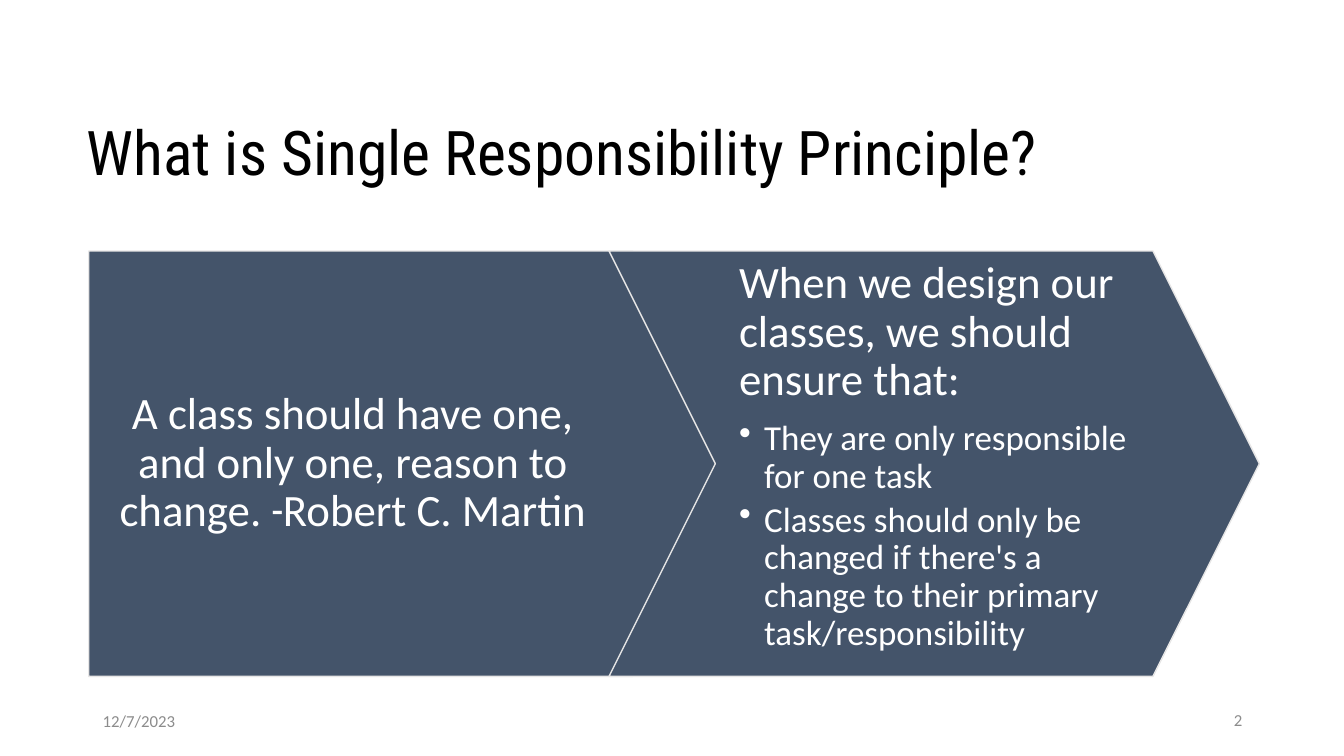
from lxml import etree
from pptx import Presentation
from pptx.dml.color import RGBColor
from pptx.enum.shapes import MSO_SHAPE as SHAPE
from pptx.enum.text import MSO_ANCHOR as ANCHOR, PP_ALIGN as ALIGN
from pptx.oxml.ns import qn
from pptx.util import Inches, Pt

COLORS = {
    "black": "000000",
    "white": "FFFFFF",
    "slate": "44546A",
    "outline": "E7E6E6",
    "footer": "8C8C8C",
}
BODY_FONT = "Calibri"
TITLE_FONT = "Roboto Condensed"
ARROW_TOP, ARROW_WIDTH, ARROW_HEIGHT = 2.49, 6.45, 4.22
FOOTER_TOP, FOOTER_WIDTH, FOOTER_HEIGHT = 6.95, 3, 0.4


def color(name):
    return RGBColor.from_string(COLORS[name])


def add_arrow(slide, preset, left):
    sp = slide.shapes.add_shape(preset, Inches(left), Inches(ARROW_TOP),
                                Inches(ARROW_WIDTH), Inches(ARROW_HEIGHT))
    sp.adjustments[0] = 0.25
    sp.shadow.inherit = False
    sp.fill.solid()
    sp.fill.fore_color.rgb = color("slate")
    sp.line.color.rgb = color("outline")
    sp.line.width = Pt(1)


def add_text_box(slide, left, top, width, height, anchor=ANCHOR.MIDDLE,
                 insets=(0.1, 0.05, 0.1, 0.05)):
    """Return the text frame of a wrapping box; insets run left, top, right, bottom."""
    tf = slide.shapes.add_textbox(Inches(left), Inches(top),
                                  Inches(width), Inches(height)).text_frame
    tf.word_wrap = True
    tf.vertical_anchor = anchor
    tf.margin_left, tf.margin_top, tf.margin_right, tf.margin_bottom = map(Inches, insets)
    return tf


def add_bullet(p, indent=0.25):
    pPr = p._p.get_or_add_pPr()
    pPr.set("marL", str(Inches(indent)))
    pPr.set("indent", str(-Inches(indent)))
    etree.SubElement(pPr, qn("a:buChar")).set("char", "•")


def write(tf, *pieces, size, fill, font=BODY_FONT, align=ALIGN.LEFT,
          line_spacing=0.9, after=0, bullet=False):
    """Add a paragraph; a piece is a string or a (string, font) pair."""
    p = tf.paragraphs[0]
    if p.runs:
        p = tf.add_paragraph()
    p.alignment = align
    p.line_spacing = line_spacing
    p.space_after = Pt(after)
    if bullet:
        add_bullet(p)
    for piece in pieces:
        text, face = (piece, font) if isinstance(piece, str) else piece
        r = p.add_run()
        r.text = text
        r.font.name = face
        r.font.size = Pt(size)
        r.font.color.rgb = color(fill)


def add_footer(slide, left, text, **fmt):
    tf = add_text_box(slide, left, FOOTER_TOP, FOOTER_WIDTH, FOOTER_HEIGHT)
    write(tf, text, size=12, fill="footer", after=6, **fmt)


def main():
    prs = Presentation()
    prs.slide_width, prs.slide_height = Inches(13.33), Inches(7.5)
    slide = prs.slides.add_slide(prs.slide_layouts[6])

    title = add_text_box(slide, 0.76, 0.97, 11.81, 1.15)
    write(title, "What is Single Responsibility Principle?",
          size=44, fill="black", font=TITLE_FONT)

    add_arrow(slide, SHAPE.PENTAGON, 0.88)
    quote = add_text_box(slide, 0.88, ARROW_TOP, 5.92, ARROW_HEIGHT,
                         insets=(0.23, 0.09, 0.91, 0.09))
    write(quote, "A class should have one, and only one, reason to change.",
          (" -", TITLE_FONT), "Robert C. Martin",
          size=32, fill="white", align=ALIGN.CENTER, after=11)

    add_arrow(slide, SHAPE.CHEVRON, 6.04)
    rules = add_text_box(slide, 7.1, ARROW_TOP, 4.34, ARROW_HEIGHT,
                         anchor=ANCHOR.TOP, insets=(0.23, 0.09, 0.23, 0.09))
    write(rules, "When we design our classes, we should ensure that:",
          size=32, fill="white", after=11)
    for rule in ("They are only responsible for one task",
                 "Classes should only be changed if there's a change "
                 "to their primary task/responsibility"):
        write(rules, rule, size=25, fill="white", after=4, bullet=True)

    add_footer(slide, 0.92, "12/7/2023", line_spacing=1.0)
    add_footer(slide, 9.42, "2", align=ALIGN.RIGHT)
    prs.save("out.pptx")


if __name__ == "__main__":
    main()
